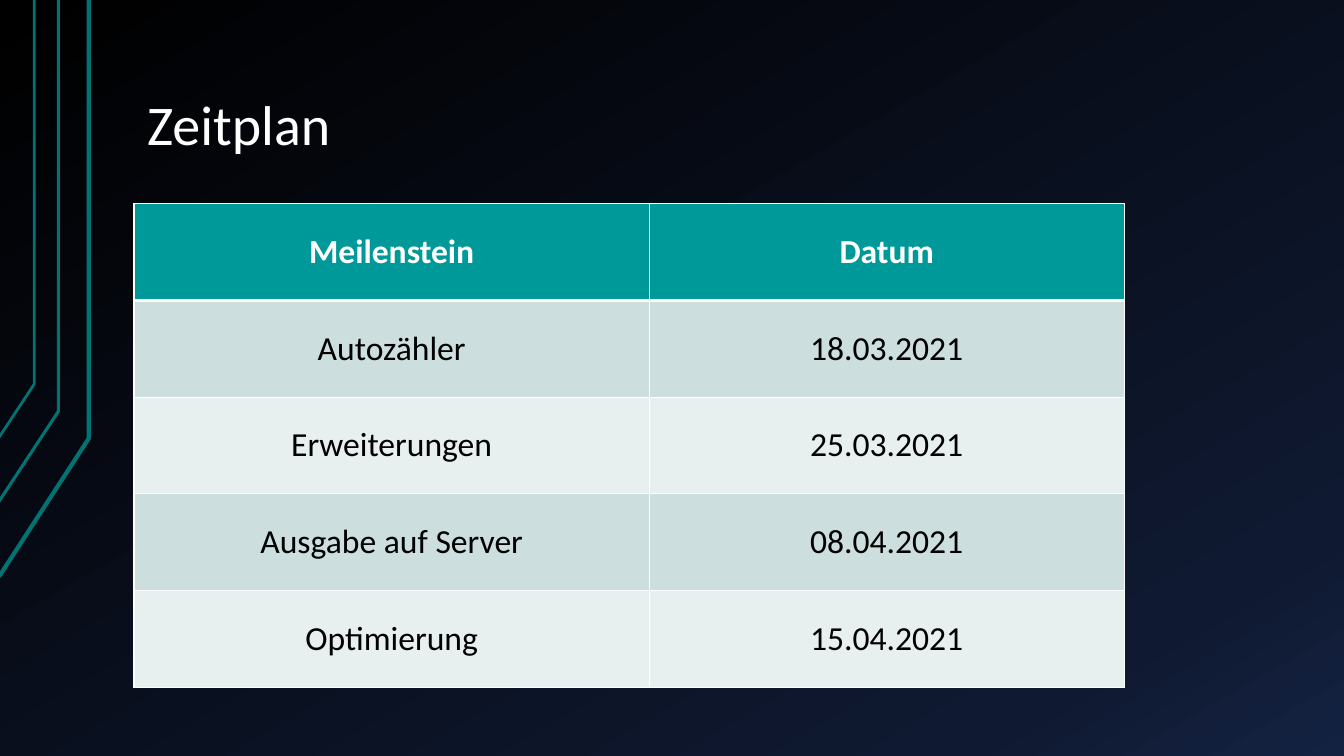
"""Build the "Zeitplan" slide: a milestone table on a dark gradient."""
from dataclasses import dataclass

from lxml.etree import SubElement
from pptx import Presentation
from pptx.dml.color import RGBColor
from pptx.enum.text import MSO_ANCHOR as Anchor, PP_ALIGN as Align
from pptx.oxml.ns import qn
from pptx.util import Inches, Pt

TITLE = "Zeitplan"
MILESTONES = [
    ("Meilenstein", "Datum"),
    ("Autozähler", "18.03.2021"),
    ("Erweiterungen", "25.03.2021"),
    ("Ausgabe auf Server", "08.04.2021"),
    ("Optimierung", "15.04.2021"),
]
CIRCUIT_TRACES = [
    ([(-0.01, 5.72), (0.88, 4.35), (0.88, 0)], 3),
    ([(-0.02, 4.99), (0.58, 4.08), (0.58, 0)], 2.25),
    ([(-0.01, 4.34), (0.34, 3.81), (0.34, 0)], 2),
]
SLIDE_SIZE = (13.33, 7.5)
LEFT = 1.33
TITLE_BOX = (LEFT, 0.29, 11.33, 1.34)
TABLE_TOP = 2.02
COLUMN_WIDTHS = (5.11, 4.71)
ROW_HEIGHT = 0.96


@dataclass(frozen=True)
class Theme:
    font: str = "Calibri"
    title_size: float = 40
    cell_size: float = 24
    light: str = "FFFFFF"
    dark: str = "000000"
    trace: str = "007373"
    header: str = "009999"
    bands: tuple = ("CCDEDE", "E7EFEF")
    night: tuple = ((0, "000000"), (85, "0F1931"), (100, "142242"))
    night_angle: int = 60
    rule: float = 1
    header_rule: float = 3


THEME = Theme()


def write(frame, text, *, size, color, bold=False, align=Align.LEFT, spacing=1.0):
    paragraph = frame.paragraphs[0]
    paragraph.alignment = align
    paragraph.line_spacing = spacing
    run = paragraph.add_run()
    run.text = text
    run.font.name = THEME.font
    run.font.size = Pt(size)
    run.font.bold = bold
    run.font.color.rgb = RGBColor.from_string(color)


def paint_background(slide):
    fill = slide.background.fill
    fill.gradient()
    fill.gradient_angle = 360 - THEME.night_angle
    stops = next(slide.element.iter(qn("a:gsLst")))
    for stop in list(stops):
        stops.remove(stop)
    for percent, color in THEME.night:
        stop = SubElement(stops, qn("a:gs"), pos=str(percent * 1000))
        SubElement(stop, qn("a:srgbClr"), val=color)


def draw_trace(slide, points, width):
    start, *rest = [(Inches(x), Inches(y)) for x, y in points]
    builder = slide.shapes.build_freeform(*start)
    builder.add_line_segments(rest, close=False)
    trace = builder.convert_to_shape()
    trace.shadow.inherit = False
    trace.fill.background()
    trace.line.color.rgb = RGBColor.from_string(THEME.trace)
    trace.line.width = Pt(width)


def add_title(slide):
    frame = slide.shapes.add_textbox(*map(Inches, TITLE_BOX)).text_frame
    frame.word_wrap = True
    frame.vertical_anchor = Anchor.BOTTOM
    frame.margin_left = frame.margin_right = Inches(0.13)
    frame.margin_top = frame.margin_bottom = Inches(0.07)
    write(frame, TITLE, size=THEME.title_size, color=THEME.light, spacing=0.9)


def border_cell(cell, **widths):
    properties = cell._tc.get_or_add_tcPr()
    for side, width in widths.items():
        line = SubElement(properties, qn(f"a:ln{side}"), w=str(Pt(width)))
        solid = SubElement(line, qn("a:solidFill"))
        SubElement(solid, qn("a:srgbClr"), val=THEME.light)


def add_schedule(slide):
    rows, columns = len(MILESTONES), len(COLUMN_WIDTHS)
    area = (LEFT, TABLE_TOP, sum(COLUMN_WIDTHS), rows * ROW_HEIGHT)
    schedule = slide.shapes.add_table(rows, columns, *map(Inches, area)).table
    schedule.horz_banding = False
    for column, width in zip(schedule.columns, COLUMN_WIDTHS):
        column.width = Inches(width)
    for r, milestone in enumerate(MILESTONES):
        schedule.rows[r].height = Inches(ROW_HEIGHT)
        is_header = r == 0
        for c, text in enumerate(milestone):
            cell = schedule.cell(r, c)
            border_cell(
                cell,
                L=THEME.rule,
                R=THEME.rule,
                T=THEME.header_rule if r == 1 else THEME.rule,
                B=THEME.header_rule if is_header else THEME.rule,
            )
            cell.fill.solid()
            cell.fill.fore_color.rgb = RGBColor.from_string(
                THEME.header if is_header else THEME.bands[(r - 1) % 2]
            )
            cell.vertical_anchor = Anchor.MIDDLE
            write(
                cell.text_frame,
                text,
                size=THEME.cell_size,
                color=THEME.light if is_header else THEME.dark,
                bold=is_header,
                align=Align.CENTER,
            )


def main():
    deck = Presentation()
    deck.slide_width, deck.slide_height = map(Inches, SLIDE_SIZE)
    slide = deck.slides.add_slide(deck.slide_layouts[6])
    paint_background(slide)
    for points, width in CIRCUIT_TRACES:
        draw_trace(slide, points, width)
    add_title(slide)
    add_schedule(slide)
    deck.save("out.pptx")


if __name__ == "__main__":
    main()
